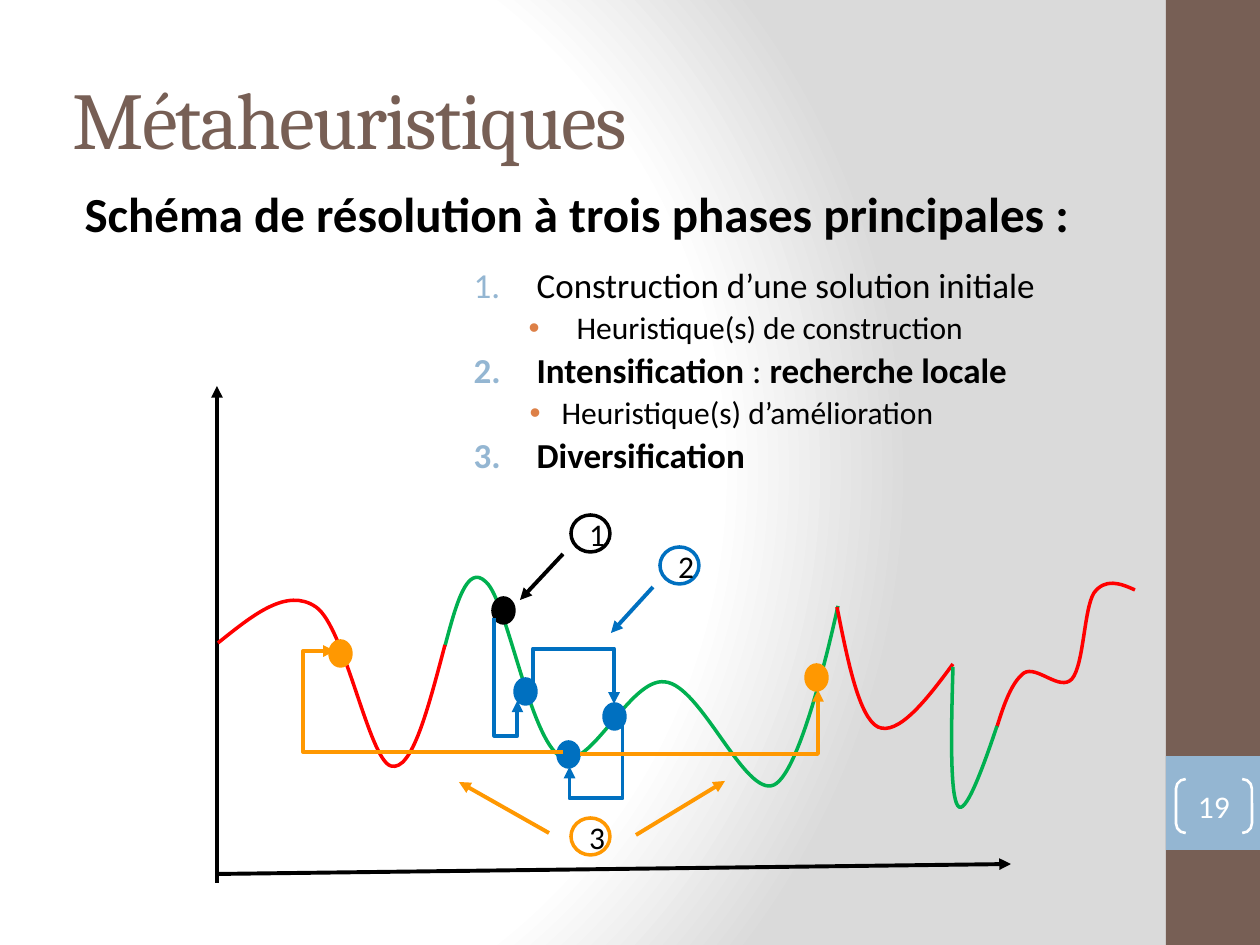
from lxml.etree import SubElement
from pptx import Presentation
from pptx.dml.color import RGBColor
from pptx.enum.shapes import MSO_CONNECTOR, MSO_SHAPE
from pptx.enum.text import MSO_ANCHOR, MSO_AUTO_SIZE, PP_ALIGN
from pptx.oxml import parse_xml
from pptx.oxml.ns import nsdecls, qn
from pptx.util import Pt

PX = 914400 / 126
COLORS = {
    "brown": "775F55", "sky": "94B6D2", "rust": "DD8047", "white": "FFFFFF", "gray": "DADADA",
    "black": "000000", "red": "FF0000", "green": "00B050", "blue": "0070C0", "orange": "FF9801",
}
# Each curve: colour, start point, then cubic segments (two controls and an end)
CURVES = [
    ("green", (228, 260), [(239, 219, 250, 177, 269, 196), (290, 214, 313, 354, 344, 371),
                           (373, 387, 413, 291, 448, 296), (484, 299, 528, 412, 557, 399),
                           (586, 386, 621, 220, 621, 220)]),
    ("red", (228, 259), [(211, 323, 195, 386, 174, 380), (152, 374, 128, 241, 99, 221),
                         (70, 201, 36, 229, 1, 257)]),
    ("red", (620, 221), [(631, 276, 642, 331, 661, 341), (681, 350, 709, 315, 736, 278)]),
    ("red", (780, 341), [(787, 318, 795, 296, 807, 287), (820, 279, 843, 306, 855, 293),
                         (867, 279, 867, 223, 877, 207), (888, 192, 903, 197, 918, 204)]),
    ("green", (736, 281), [(734, 346, 733, 410, 741, 420), (748, 430, 765, 385, 780, 340)]),
]
# Each phase: label, colour, label position, arrows, elbows, dots
# Each elbow: box, rotation, flip, bend as a fraction (None for a single corner)
PHASES = [
    ("1", "black", (354, 129), [(346, 168, 303, 214)], [], [(276, 212)]),
    ("2", "blue", (443, 161), [(436, 201, 394, 247)],
     [((248, 262, 82, 23), 270, "flipH", 1.43), ((346, 267, 21, 81), 270, "flipH", -1.64),
      ((358, 333, 42, 53), 90, None, 1.76)],
     [(298, 293), (387, 318), (341, 356)]),
    ("3", "orange", (354, 432), [(332, 447, 242, 396), (419, 449, 508, 395)],
     [((118, 265, 228, 101), 180, None, 1.14), ((363, 304, 238, 64), 0, "flipV", None)],
     [(113, 255), (589, 279)]),
]


def px(*values):
    return [round(v * PX) for v in values]


def rgb(name):
    return RGBColor.from_string(COLORS[name])


def write(p, text, size=18, color="black", font="Calibri", bold=False, spacing=None):
    r = p.add_run()
    r.text = text
    r.font.size, r.font.name, r.font.bold = Pt(size), font, bold
    r.font.color.rgb = rgb(color)
    if spacing is not None:
        r.font._element.set("spc", str(spacing))


def shape(s, kind, box, fill=None, line=None, width=2):
    sp = s.shapes.add_shape(kind, *px(*box))
    sp.shadow.inherit = False
    style(sp, fill, line, width)
    return sp


def style(sp, fill, line, width):
    if fill:
        sp.fill.solid()
        sp.fill.fore_color.rgb = rgb(fill)
    else:
        sp.fill.background()
    if line:
        sp.line.color.rgb = rgb(line)
        sp.line.width = Pt(width)
    else:
        sp.line.fill.background()


def arrow(s, kind, points, color):
    cxn = s.shapes.add_connector(kind, *px(*points))
    cxn.line.color.rgb = rgb(color)
    cxn.line.width = Pt(2.25)
    spPr = cxn._element.spPr
    SubElement(spPr.find(qn("a:ln")), qn("a:tailEnd"), type="triangle")
    SubElement(spPr, qn("a:effectLst"))
    return cxn


def elbow(s, box, rotation, flip, bend, color):
    x, y, w, h = box
    spPr = arrow(s, MSO_CONNECTOR.ELBOW, (x, y, x + w, y + h), color)._element.spPr
    xfrm, geom = spPr.find(qn("a:xfrm")), spPr.find(qn("a:prstGeom"))
    xfrm.set("rot", str(rotation * 60000))
    if flip:
        xfrm.set(flip, "1")
    if bend is None:
        geom.set("prst", "bentConnector2")
    else:
        SubElement(geom.find(qn("a:avLst")), qn("a:gd"), name="adj1", fmla=f"val {round(bend * 100000)}")


def curve(s, x, y, color, start, segments):
    ends = [seg[4:] for seg in segments]
    fb = s.shapes.build_freeform(*start, scale=PX)
    fb.add_line_segments(ends, close=False)
    sp = fb.convert_to_shape(*px(x, y))
    sp.shadow.inherit = False
    style(sp, None, color, 2)
    # Turn the straight pieces into cubic ones
    left, top = (min(c) for c in zip(start, *ends))
    outline = next(sp._element.iter(qn("a:path")))
    for piece, seg in zip(outline.findall(qn("a:lnTo")), segments):
        cubic = SubElement(outline, qn("a:cubicBezTo"))
        for cx, cy in zip(seg[::2], seg[1::2]):
            SubElement(cubic, qn("a:pt"), x=str(cx - left), y=str(cy - top))
        outline.remove(piece)


def background(s):
    stops = "".join(f'<a:gs pos="{pos}"><a:srgbClr val="{COLORS[c]}"/></a:gs>'
                    for pos, c in ((0, "white"), (75000, "white"), (100000, "gray")))
    s._element.cSld.insert(0, parse_xml(
        f'<p:bg {nsdecls("p", "a")}><p:bgPr><a:gradFill rotWithShape="1"><a:gsLst>{stops}</a:gsLst>'
        '<a:path path="circle"><a:fillToRect l="20000" t="50000" r="100000" b="50000"/></a:path>'
        '</a:gradFill><a:effectLst/></p:bgPr></p:bg>'))


def sidebar(s, x, y, w, h):
    shape(s, MSO_SHAPE.RECTANGLE, (x, y, w, h), "brown")
    shape(s, MSO_SHAPE.RECTANGLE, (x, y + 756, w, w), "sky")
    sp = shape(s, MSO_SHAPE.DOUBLE_BRACKET, (x + 10, y + 779, 76, 54), None, "white", 1.5)
    sp.adjustments[0] = 0.18
    tf = sp.text_frame
    tf.margin_left = tf.margin_right = tf.margin_top = tf.margin_bottom = 0
    tf.paragraphs[0].alignment = PP_ALIGN.CENTER
    write(tf.paragraphs[0], "19", color="white")


def place(ph, box, anchor=MSO_ANCHOR.TOP):
    ph.left, ph.top, ph.width, ph.height = px(*box)
    tf = ph.text_frame
    tf.word_wrap, tf.auto_size, tf.vertical_anchor = True, MSO_AUTO_SIZE.NONE, anchor
    return tf


def item(p, indent, hanging, bullet=None, color=None, before=0):
    pPr = p._p.get_or_add_pPr()
    pPr.set("marL", str(px(indent)[0]))
    pPr.set("indent", str(px(-hanging)[0]))
    if bullet:
        SubElement(SubElement(pPr, qn("a:buClr")), qn("a:srgbClr"), val=COLORS[color])
    if bullet == "1.":
        SubElement(pPr, qn("a:buAutoNum"), type="arabicPeriod")
    elif bullet:
        SubElement(pPr, qn("a:buFont"), typeface="Arial")
        SubElement(pPr, qn("a:buChar"), char=bullet)
    else:
        SubElement(pPr, qn("a:buNone"))
    p.alignment, p.line_spacing, p.space_before = PP_ALIGN.LEFT, 0.9, Pt(before)


def heading(title, lead, x, y, w):
    p = place(title, (x + 3, y, w - 66, 158), MSO_ANCHOR.MIDDLE).paragraphs[0]
    p.alignment = PP_ALIGN.LEFT
    write(p, "Métaheuristiques", 46, "brown", "Cambria", spacing=-100)
    p = place(lead, (x, y + 146, w, 131)).paragraphs[0]
    item(p, 15, 0)
    write(p, "Schéma de résolution à trois phases principales :", 28, bold=True)


def steps(ph, box):
    tf = place(ph, box)
    # Level, indent, hanging, then (text, bold) runs
    rows = [
        (0, 63, 63, [("Construction d’une solution initiale", False)]),
        (1, 103, 48, [("Heuristique(s) de construction", False)]),
        (0, 63, 63, [("Intensification", True), (" : ", False), ("recherche locale", True)]),
        (1, 88, 32, [("Heuristique(s) d’amélioration", False)]),
        (0, 63, 63, [("Diversification", True)]),
    ]
    for i, (level, indent, hanging, runs) in enumerate(rows):
        p = tf.add_paragraph() if i else tf.paragraphs[0]
        p.level = level
        size = (20, 18)[level]
        item(p, indent, hanging, ("1.", "•")[level], ("sky", "rust")[level], size * 0.2 if i else 0)
        for text, bold in runs:
            write(p, text, size, bold=bold)


def landscape(s, x, y, w, h):
    # Axes
    arrow(s, MSO_CONNECTOR.STRAIGHT, (x, y + h - 9, x + w, y + h - 19), "black")
    arrow(s, MSO_CONNECTOR.STRAIGHT, (x, y + h, x, y), "black")
    for color, start, segments in CURVES:
        curve(s, x, y, color, start, segments)
    # Search phases
    for label, color, (lx, ly), arrows, elbows, dots in PHASES:
        sp = shape(s, MSO_SHAPE.OVAL, (x + lx, y + ly, 39, 37), None, color)
        p = sp.text_frame.paragraphs[0]
        p.alignment = PP_ALIGN.CENTER
        write(p, label)
        for x1, y1, x2, y2 in arrows:
            arrow(s, MSO_CONNECTOR.STRAIGHT, (x + x1, y + y1, x + x2, y + y2), color)
        for (ex, ey, ew, eh), rotation, flip, bend in elbows:
            elbow(s, (x + ex, y + ey, ew, eh), rotation, flip, bend, color)
        for dx, dy in dots:
            shape(s, MSO_SHAPE.OVAL, (x + dx, y + dy, 21, 25), color, color)


def main():
    prs = Presentation()
    prs.slide_width, prs.slide_height = px(1260, 945)
    s = prs.slides.add_slide(prs.slide_layouts[3])
    title, lead, body = list(s.placeholders)[:3]
    background(s)
    sidebar(s, 1166, 0, 94, 945)
    heading(title, lead, 57, 38, 1115)
    steps(body, (461, 262, 689, 228))
    landscape(s, 217, 386, 794, 497)
    prs.save("out.pptx")


if __name__ == "__main__":
    main()
